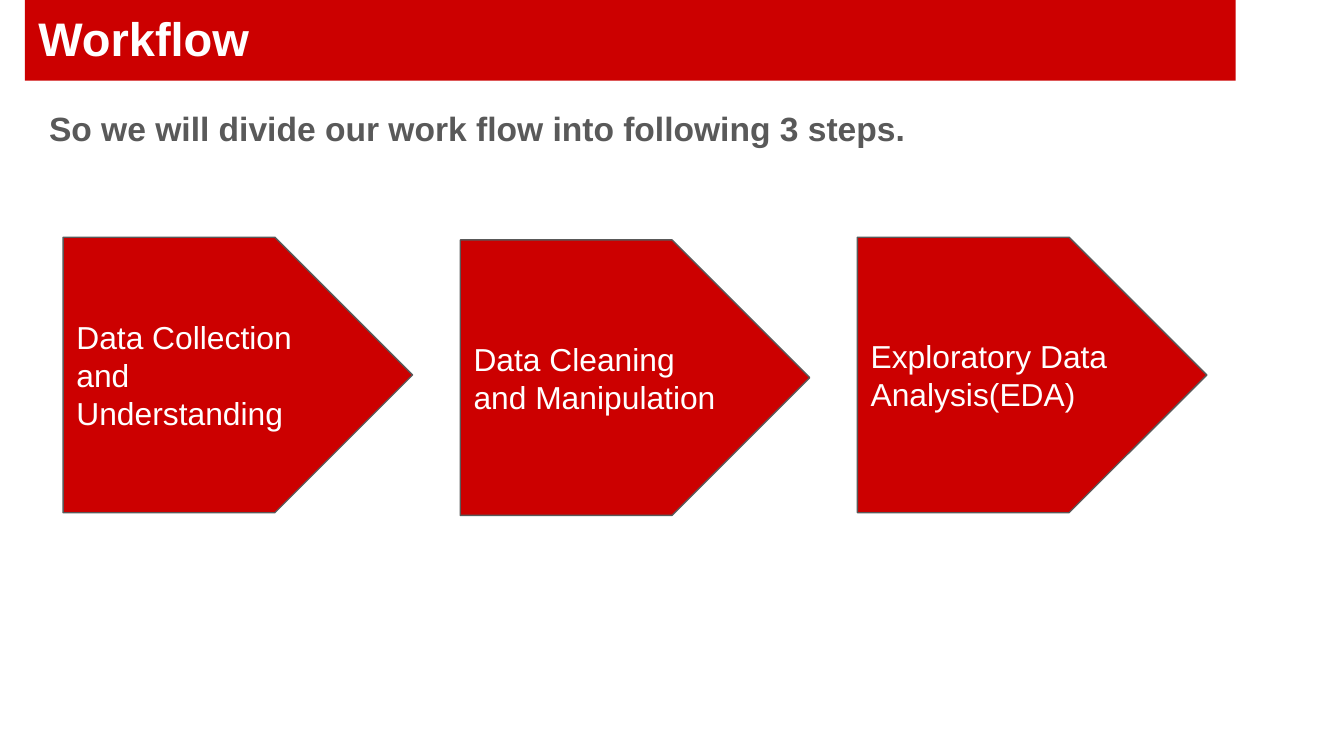
from pptx import Presentation
from pptx.dml.color import RGBColor as Rgb
from pptx.enum.shapes import MSO_SHAPE as Kind
from pptx.enum.text import MSO_ANCHOR as Anchor, MSO_AUTO_SIZE as Fit, PP_ALIGN as Align
from pptx.oxml.ns import qn
from pptx.util import Pt
from lxml.etree import SubElement as Sub

PX = 4572  # EMU per px, 200 px to the inch
COLORS = {"red": "CC0000", "gray": "595959", "white": "FFFFFF"}
STEPS = [
    ("Data Collection and Understanding", 353),
    ("Data Cleaning and Manipulation", 357),
    ("Exploratory Data Analysis(EDA)", 353),
]


def color(name):
    return Rgb.from_string(COLORS[name])


def place(shape, *box):
    shape.left, shape.top, shape.width, shape.height = [n * PX for n in box]


def paint(shape, name):
    shape.fill.solid()
    shape.fill.fore_color.rgb = color(name)


def write(shape, text, size, ink="white", bold=False, anchor=Anchor.TOP, lines=1.0, after=0):
    frame = shape.text_frame
    frame.word_wrap = True
    frame.auto_size = Fit.NONE
    frame.vertical_anchor = anchor
    frame.margin_left = frame.margin_right = 20 * PX
    frame.margin_top = frame.margin_bottom = 20 * PX
    para = frame.paragraphs[0]
    para.alignment = Align.LEFT
    para.line_spacing = lines
    para.space_before, para.space_after = Pt(0), Pt(after)
    run = para.add_run()
    run.text = text
    font = run.font
    font.name, font.size, font.bold = "Arial", Pt(size), bold
    font.color.rgb = color(ink)
    return para


def add_title(slide, text):
    title = slide.shapes.title
    place(title, 37, -6, 1802, 126)
    paint(title, "red")
    write(title, text, 25.2, bold=True)


def add_intro(slide, text):
    body = slide.placeholders[1]
    place(body, 53, 132, 1864, 104)
    para = write(body, text, 18, ink="gray", bold=True, lines=1.15, after=12)
    # Plain line: no bullet and no hanging indent
    props = para._p.get_or_add_pPr()
    props.set("marL", "0")
    props.set("indent", "0")
    Sub(props, qn("a:buNone"))


def add_step(slide, text, left, top):
    step = slide.shapes.add_shape(Kind.PENTAGON, 0, 0, 0, 0)
    place(step, left, top, 520, 410)
    step.adjustments[0] = 0.5
    step.shadow.inherit = False
    paint(step, "red")
    step.line.color.rgb = color("gray")
    step.line.width = Pt(0.75)
    write(step, text, 17, anchor=Anchor.MIDDLE)


def main():
    deck = Presentation()
    deck.slide_width, deck.slide_height = 2000 * PX, 1125 * PX
    slide = deck.slides.add_slide(deck.slide_layouts[1])

    # Heading and lead sentence
    add_title(slide, "Workflow")
    add_intro(slide, "So we will divide our work flow into following 3 steps.")

    # Row of step arrows at an equal pitch
    for i, (text, top) in enumerate(STEPS):
        add_step(slide, text, 94 + 591 * i, top)

    deck.save("out.pptx")


if __name__ == "__main__":
    main()
